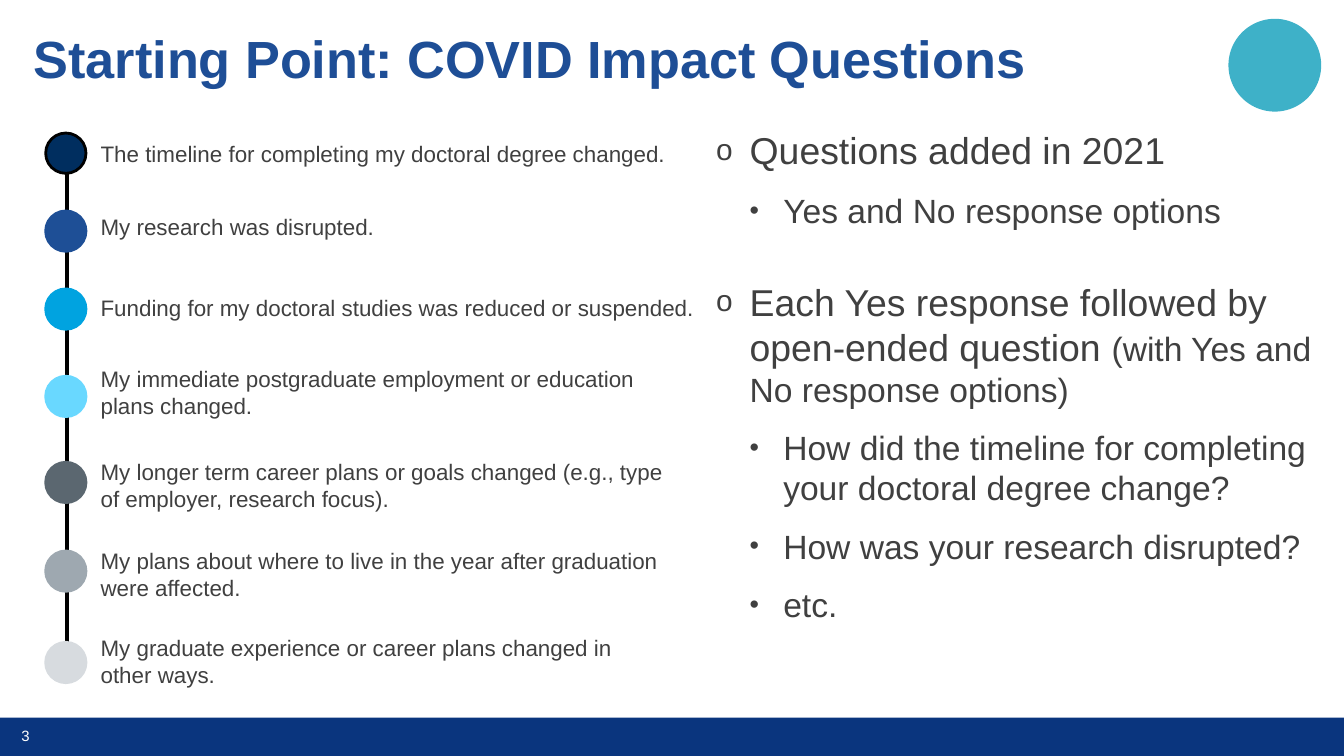
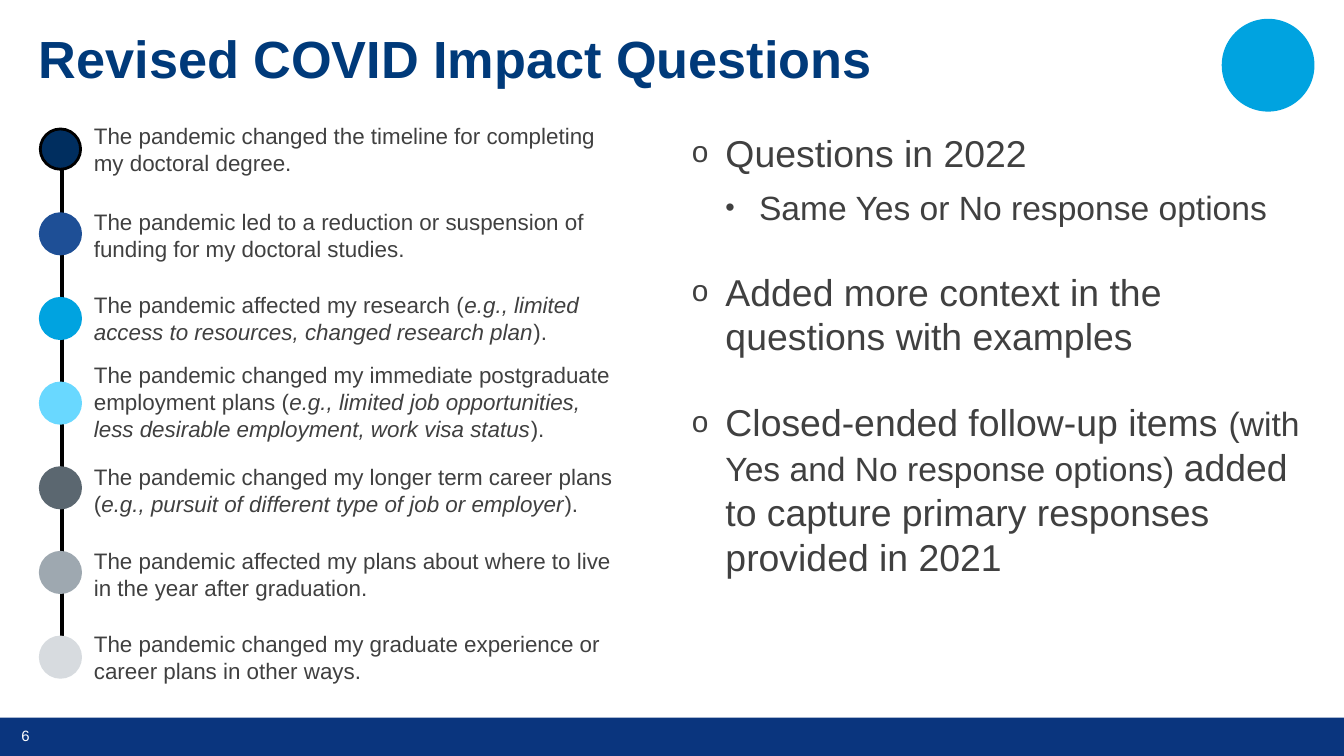
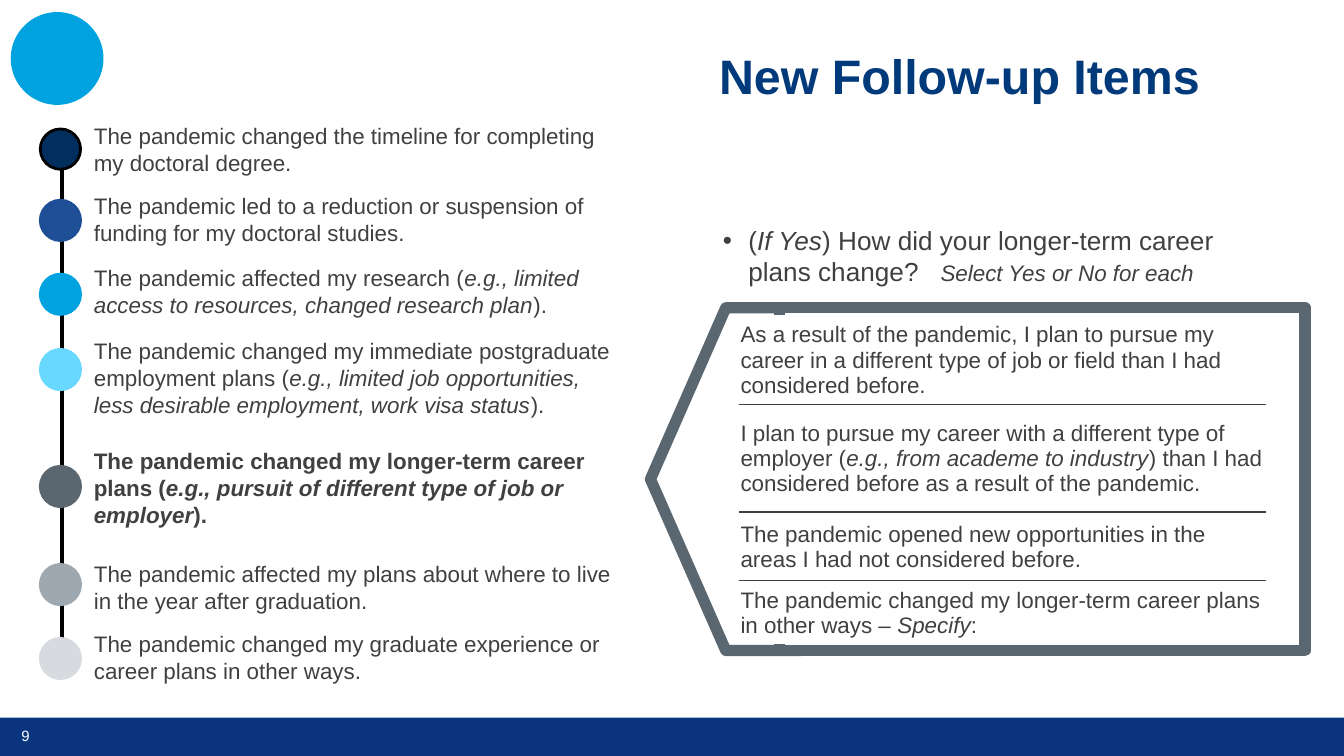
"""Build three slides about the COVID impact survey questions."""
from lxml import etree
from pptx import Presentation
from pptx.dml.color import RGBColor
from pptx.enum.shapes import MSO_CONNECTOR as Connector, MSO_SHAPE as Shape
from pptx.enum.text import MSO_ANCHOR as Anchor, MSO_AUTO_SIZE as AutoSize, PP_ALIGN as Align
from pptx.oxml.ns import qn
from pptx.util import Inches, Pt

FONT = "Arial"
WHITE = RGBColor(0xFF, 0xFF, 0xFF)
BLACK = RGBColor(0, 0, 0)
TEXT_GRAY = RGBColor(0x40, 0x40, 0x40)
BAND_BLUE = RGBColor(0x0A, 0x35, 0x7E)
TITLE_BLUE = RGBColor(0x1E, 0x4E, 0x96)
TITLE_NAVY = RGBColor(0x00, 0x3A, 0x7A)
NAVY = RGBColor(0x00, 0x2E, 0x5F)
BLUE = RGBColor(0x1E, 0x4F, 0x96)
CYAN = RGBColor(0x00, 0xA3, 0xE0)
SKY = RGBColor(0x69, 0xD8, 0xFF)
SLATE = RGBColor(0x5B, 0x67, 0x70)
SILVER = RGBColor(0x9E, 0xA8, 0xB0)
MIST = RGBColor(0xD7, 0xDB, 0xDF)
TEAL = RGBColor(0x3E, 0xB1, 0xC8)
DOT_COLORS = [NAVY, BLUE, CYAN, SKY, SLATE, SILVER, MIST]

DOT_SIZE = 0.3
BADGE_SIZE = 0.69
LINE_HEIGHTS = {1: 0.3, 2: 0.5, 3: 0.71}

QUESTIONS_2021 = [
    "The timeline for completing my doctoral degree changed.",
    "My research was disrupted.",
    "Funding for my doctoral studies was reduced or suspended.",
    "My immediate postgraduate employment or education plans changed.",
    "My longer term career plans or goals changed (e.g., type of employer, research focus).",
    "My plans about where to live in the year after graduation were affected.",
    "My graduate experience or career plans changed in other ways.",
]
QUESTIONS_2022 = [
    "The pandemic changed the timeline for completing my doctoral degree.",
    "The pandemic led to a reduction or suspension of funding for my doctoral studies.",
    "The pandemic affected my research (*e.g., limited access to resources, changed research plan*).",
    "The pandemic changed my immediate postgraduate employment plans (*e.g., limited job "
    "opportunities, less desirable employment, work visa status*).",
    "The pandemic changed my longer term career plans (*e.g., pursuit of different type of job "
    "or employer*).",
    "The pandemic affected my plans about where to live in the year after graduation.",
    "The pandemic changed my graduate experience or career plans in other ways.",
]
FOLLOW_UP_QUESTIONS = [q.replace("longer term", "longer-term") for q in QUESTIONS_2022]

TIMELINE_2021 = dict(
    questions=QUESTIONS_2021, dot_left=0.34, text_left=0.65, spine=(0.5, 1, 5.07),
    dots=[0.99, 1.57, 2.15, 2.8, 3.44, 4.1, 4.78],
    tops=[0.99, 1.54, 2.14, 2.67, 3.36, 4.02, 4.67],
    lines=[1, 1, 1, 2, 2, 2, 2],
    widths=[4.42, 4.42, 4.62, 4.42, 4.42, 4.42, 4.42])
TIMELINE_2022 = dict(
    questions=QUESTIONS_2022, dot_left=0.3, text_left=0.6, spine=(0.46, 0.97, 5.04),
    dots=[0.96 + 0.63 * step for step in range(7)],
    tops=[0.86, 1.5, 2.12, 2.64, 3.4, 4.02, 4.64],
    lines=[2, 2, 2, 3, 2, 2, 2],
    widths=[4.15, 4.42, 4.32, 4.15, 4.42, 4.15, 4.42])
TIMELINE_FOLLOW_UP = dict(
    TIMELINE_2022, questions=FOLLOW_UP_QUESTIONS, bold_index=4,
    dots=[0.96, 1.49, 2.04, 2.6, 3.47, 4.2, 4.75],
    tops=[0.86, 1.38, 1.92, 2.46, 3.28, 4.12, 4.64],
    lines=[2, 2, 2, 3, 3, 2, 2],
    widths=[4.15, 4.42, 4.32, 4.15, 4.1, 4.15, 4.42])

NOTES_2021 = [
    (0, 6, [("Questions added in 2021", 20)]),
    (1, 22, [("Yes and No response options", 18)]),
    (0, 6, [("Each Yes response followed by open-ended question ", 20),
            ("(with Yes and No response options)", 18)]),
    (1, 6, [("How did the timeline for completing your doctoral degree change?", 18)]),
    (1, 6, [("How was your research disrupted?", 18)]),
    (1, 0, [("etc.", 18)]),
]
NOTES_2022 = [
    (0, 3, [("Questions in 2022", 20)]),
    (1, 18, [("Same Yes or No response options", 18)]),
    (0, 18, [("Added more context in the questions with examples", 20)]),
    (0, 6, [("Closed-ended follow-up items ", 20), ("(with Yes and No response options) ", 18),
            ("added to capture primary responses provided in 2021", 20)]),
]
FOLLOW_UP_PROMPT = [("(*If Yes*) How did your longer-term career plans change?\t", 14),
                    ("*Select Yes or No for each*", 12)]
FOLLOW_UP_ITEMS = [
    (0.67, "As a result of the pandemic, I plan to pursue my career in a different type of job or "
           "field than I had considered before."),
    (0.8, "I plan to pursue my career with a different type of employer (*e.g., from academe to "
          "industry*) than I had considered before as a result of the pandemic."),
    (0.51, "The pandemic opened new opportunities in the areas I had not considered before."),
    (0.47, "The pandemic changed my longer-term career plans in other ways – *Specify*:"),
]


def set_all(target, **values):
    """Set several attributes of one object."""
    for attribute, value in values.items():
        setattr(target, attribute, value)


def place(left, top, width, height):
    """Turn a box in inches into lengths."""
    return [Inches(length) for length in (left, top, width, height)]


def write(paragraph, text, size, color=TEXT_GRAY, bold=False):
    """Add runs, with the words between asterisks in italics."""
    for index, part in enumerate(text.split("*")):
        if part:
            run = paragraph.add_run()
            run.text = part
            set_all(run.font, name=FONT, size=Pt(size), bold=bold, italic=index % 2 == 1)
            run.font.color.rgb = color


def add_text(slide, box, **frame_format):
    """Add a wrapping text box and return its frame."""
    frame = slide.shapes.add_textbox(*place(*box)).text_frame
    set_all(frame, word_wrap=True, **frame_format)
    return frame


def add_figure(slide, preset, box, fill, line=None, weight=1.5):
    """Add a filled preset shape without a shadow."""
    figure = slide.shapes.add_shape(preset, *place(*box))
    figure.shadow.inherit = False
    figure.fill.solid()
    figure.fill.fore_color.rgb = fill
    if line is None:
        figure.line.fill.background()
    else:
        figure.line.color.rgb = line
        figure.line.width = Pt(weight)
    return figure


def set_bullet(paragraph, symbol, indent, hanging, percent=100):
    """Give a paragraph a hanging bullet."""
    properties = paragraph._p.get_or_add_pPr()
    properties.set("marL", str(Inches(indent)))
    properties.set("indent", str(-Inches(hanging)))
    etree.SubElement(properties, qn("a:buSzPct"), val=str(percent * 1000))
    etree.SubElement(properties, qn("a:buFont"), typeface=FONT)
    etree.SubElement(properties, qn("a:buChar"), char=symbol)


def add_page(deck, number, title, title_box, title_size, title_color, badge_spot, badge_color):
    """Add a slide with its band, number, title and badge."""
    slide = deck.slides.add_slide(deck.slide_layouts[5])
    add_figure(slide, Shape.RECTANGLE, (0, 5.34, 10, 0.29), BAND_BLUE)
    page = add_text(slide, (0, 5.35, 0.38, 0.24), vertical_anchor=Anchor.MIDDLE).paragraphs[0]
    page.alignment = Align.CENTER
    write(page, str(number), 8, WHITE)

    heading = slide.shapes.title
    set_all(heading, **dict(zip(("left", "top", "width", "height"), place(*title_box))))
    set_all(heading.text_frame, word_wrap=True, auto_size=AutoSize.NONE,
            vertical_anchor=Anchor.MIDDLE, margin_left=Inches(0.1), margin_right=Inches(0.2),
            margin_top=Inches(0.1), margin_bottom=Inches(0.1))
    set_all(heading.text_frame.paragraphs[0], alignment=Align.LEFT, line_spacing=0.9)
    write(heading.text_frame.paragraphs[0], title, title_size, title_color, bold=True)
    add_figure(slide, Shape.OVAL, (*badge_spot, BADGE_SIZE, BADGE_SIZE), badge_color)
    return slide


def add_timeline(slide, questions, dot_left, text_left, spine, dots, tops, lines, widths,
                 bold_index=None):
    """Draw the spine, its dots and the question beside each dot."""
    x, start, end = spine
    stem = slide.shapes.add_connector(
        Connector.STRAIGHT, Inches(x), Inches(end), Inches(x), Inches(start))
    stem.line.color.rgb = BLACK
    stem.line.width = Pt(2.25)
    etree.SubElement(stem._element.spPr, qn("a:effectLst"))
    rows = zip(questions, DOT_COLORS, dots, tops, lines, widths)
    for index, (question, color, dot, top, line_count, width) in enumerate(rows):
        add_figure(slide, Shape.OVAL, (dot_left, dot, DOT_SIZE, DOT_SIZE), color,
                   color if index else BLACK)
        frame = add_text(slide, (text_left, top, width, LINE_HEIGHTS[line_count]),
                         auto_size=AutoSize.SHAPE_TO_FIT_TEXT)
        write(frame.paragraphs[0], question, 12, bold=index == bold_index)


def add_notes(slide, box, notes):
    """Add the two-level bullet list."""
    frame = add_text(slide, box)
    for index, (level, after, runs) in enumerate(notes):
        paragraph = frame.add_paragraph() if index else frame.paragraphs[0]
        set_all(paragraph, level=level, space_after=Pt(after))
        if index:
            paragraph.space_before = Pt(0.2 * runs[0][1])
        set_bullet(paragraph, "o•"[level], 0.25 * (level + 1), 0.25, 80)
        for text, size in runs:
            write(paragraph, text, size)


def set_borders(cell, ruled_sides):
    """Rule the given sides of a cell and clear the others."""
    properties = cell._tc.get_or_add_tcPr()
    for position, side in enumerate("LRTB"):
        border = etree.Element(qn(f"a:ln{side}"), w=str(Pt(1)))
        if side in ruled_sides:
            fill = etree.SubElement(border, qn("a:solidFill"))
            etree.SubElement(fill, qn("a:srgbClr"), val=str(TEXT_GRAY))
        else:
            etree.SubElement(border, qn("a:noFill"))
        properties.insert(position, border)


def add_follow_up(slide):
    """Draw the callout, its table of items and the prompt above."""
    pointer = add_figure(slide, Shape.PENTAGON, (4.84, 2.29, 1.12, 2.55), WHITE, SLATE, 6)
    pointer.rotation = 180
    panel = add_figure(slide, Shape.RECTANGLE, (5.8, 2.29, 3.91, 2.55), WHITE, SLATE, 6)
    for outline in (pointer.line, panel.line):
        etree.SubElement(outline._get_or_add_ln(), qn("a:round"))

    last = len(FOLLOW_UP_ITEMS) - 1
    items = slide.shapes.add_table(last + 1, 1, *place(5.5, 2.34, 3.92, 2.46)).table
    set_all(items, first_row=False, horz_banding=False)
    for index, (height, text) in enumerate(FOLLOW_UP_ITEMS):
        items.rows[index].height = Inches(height)
        cell = items.cell(index, 0)
        set_all(cell, vertical_anchor=Anchor.MIDDLE, margin_left=Inches(0.01),
                margin_right=Inches(0.01), margin_top=Inches(0.01), margin_bottom=0)
        cell.fill.solid()
        cell.fill.fore_color.rgb = WHITE
        set_borders(cell, ("T" if index else "") + ("B" if index < last else ""))
        write(cell.text_frame.paragraphs[0], text, 12)

    prompt = add_text(slide, (5.28, 1.62, 4.3, 0.57),
                      auto_size=AutoSize.SHAPE_TO_FIT_TEXT).paragraphs[0]
    set_bullet(prompt, "•", 0.19, 0.19)
    stops = etree.SubElement(prompt._p.get_or_add_pPr(), qn("a:tabLst"))
    etree.SubElement(stops, qn("a:tab"), pos=str(Inches(1.62)), algn="l")
    for text, size in FOLLOW_UP_PROMPT:
        write(prompt, text, size)


def main():
    """Build and save the deck."""
    deck = Presentation()
    set_all(deck, slide_width=Inches(10), slide_height=Inches(10) * 9 // 16)

    starting = add_page(deck, 3, "Starting Point: COVID Impact Questions",
                        (0.15, 0.07, 9.67, 0.77), 28, TITLE_BLUE, (9.14, 0.14), TEAL)
    add_notes(starting, (5.23, 0.9, 4.74, 4.07), NOTES_2021)
    add_timeline(starting, **TIMELINE_2021)

    revised = add_page(deck, 6, "Revised COVID Impact Questions",
                       (0.19, 0.04, 9.67, 0.83), 28, TITLE_NAVY, (9.09, 0.14), CYAN)
    add_notes(revised, (5.05, 0.92, 4.74, 3.76), NOTES_2022)
    add_timeline(revised, **TIMELINE_2022)

    follow_up = add_page(deck, 9, "New Follow-up Items",
                         (5.25, 0.17, 4.05, 0.83), 25.9, TITLE_NAVY, (0.08, 0.09), CYAN)
    add_follow_up(follow_up)
    add_timeline(follow_up, **TIMELINE_FOLLOW_UP)

    deck.save("out.pptx")


if __name__ == "__main__":
    main()
